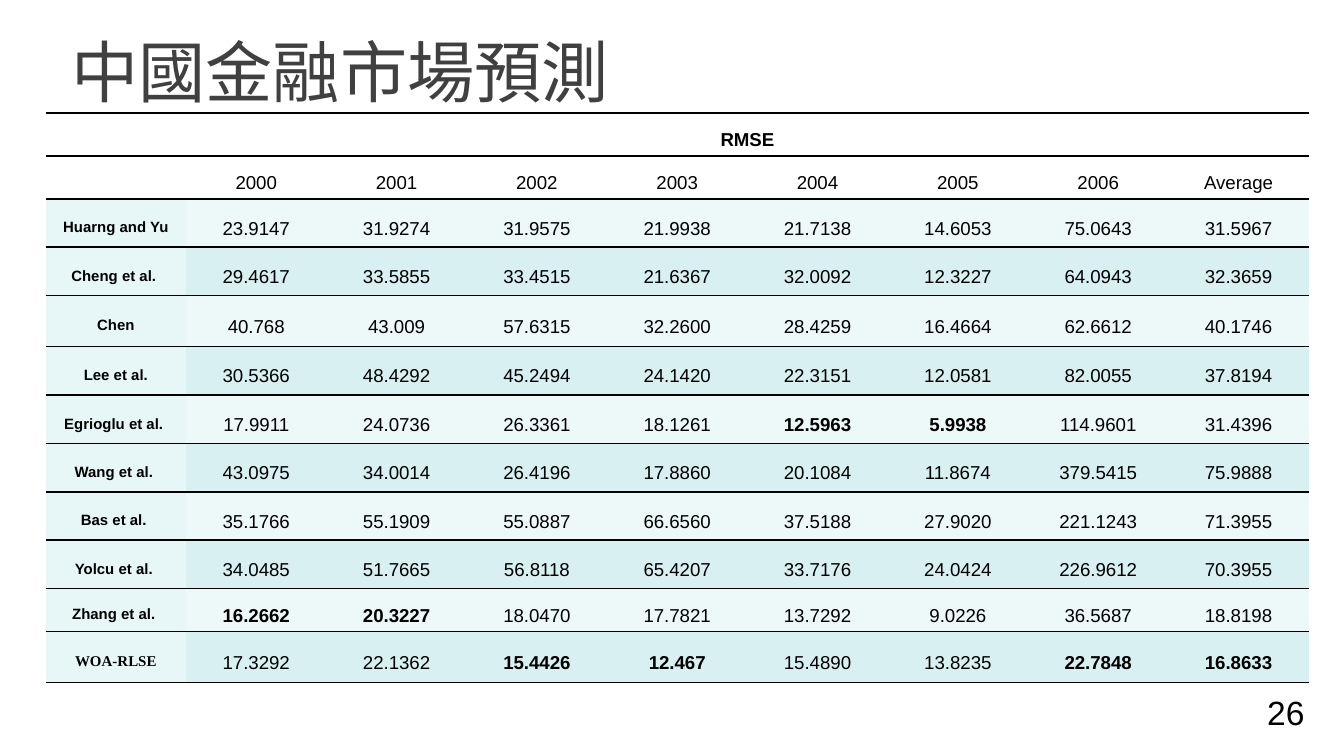
"""Build the slide comparing RMSE of market forecasting models."""
from lxml.etree import SubElement
from pptx import Presentation
from pptx.dml.color import RGBColor
from pptx.enum.text import MSO_ANCHOR, PP_ALIGN
from pptx.oxml import parse_xml
from pptx.oxml.ns import nsdecls, qn
from pptx.util import Inches, Pt

TITLE = "中國金融市場預測"
PAGE_NUMBER = "26"
MEASURE = "RMSE"
HEADINGS = ["2000", "2001", "2002", "2003", "2004", "2005", "2006", "Average"]
MODELS = [
    ("Huarng and Yu", "23.9147 31.9274 31.9575 21.9938 21.7138 14.6053 75.0643 31.5967"),
    ("Cheng et al. ", "29.4617 33.5855 33.4515 21.6367 32.0092 12.3227 64.0943 32.3659"),
    ("Chen", "40.768 43.009 57.6315 32.2600 28.4259 16.4664 62.6612 40.1746"),
    ("Lee et al.", "30.5366 48.4292 45.2494 24.1420 22.3151 12.0581 82.0055 37.8194"),
    ("Egrioglu et al. ", "17.9911 24.0736 26.3361 18.1261 12.5963 5.9938 114.9601 31.4396"),
    ("Wang et al. ", "43.0975 34.0014 26.4196 17.8860 20.1084 11.8674 379.5415 75.9888"),
    ("Bas et al. ", "35.1766 55.1909 55.0887 66.6560 37.5188 27.9020 221.1243 71.3955"),
    ("Yolcu et al. ", "34.0485 51.7665 56.8118 65.4207 33.7176 24.0424 226.9612 70.3955"),
    ("Zhang et al. ", "16.2662 20.3227 18.0470 17.7821 13.7292 9.0226 36.5687 18.8198"),
    ("WOA-RLSE", "17.3292 22.1362 15.4426 12.467 15.4890 13.8235 22.7848 16.8633"),
]
OWN_MODEL = "WOA-RLSE"
ROW_HEIGHTS = [0.32, 0.32, 0.36, 0.36, 0.38, 0.36, 0.36, 0.36, 0.36, 0.36, 0.32, 0.38]
COLORS = {"text": "000000", "title": "404040", "line": "000000",
          "name": "E7F7F8", "light": "EDF8F9", "dark": "D9F0F2"}
FONT, TITLE_FONT, OWN_FONT = "Arial", "Noto Sans CJK SC", "Times New Roman"
NO_STYLE = "{2D5ABB26-0587-4C30-8999-92F81FD0307C}"


def format_text(paragraph, size, color="text", font=FONT, bold=False):
    for span in paragraph.runs:
        span.font.size, span.font.name, span.font.bold = Pt(size), font, bold
        span.font.color.rgb = RGBColor.from_string(COLORS[color])


def place(box, left, top, width, height):
    box.left, box.top = Inches(left), Inches(top)
    box.width, box.height = Inches(width), Inches(height)


def rule_cell(cell):
    properties = cell._tc.get_or_add_tcPr()
    for position, side in enumerate(("lnT", "lnB")):
        properties.insert(position, parse_xml(
            f'<a:{side} {nsdecls("a")} w="12700"><a:solidFill>'
            f'<a:srgbClr val="{COLORS["line"]}"/></a:solidFill></a:{side}>'))


def fill_cell(cell, text, fill=None, size=10, font=FONT, bold=False):
    cell.margin_left = cell.margin_right = Inches(0.05)
    cell.margin_top = cell.margin_bottom = 0
    cell.vertical_anchor = MSO_ANCHOR.MIDDLE
    if fill:
        cell.fill.solid()
        cell.fill.fore_color.rgb = RGBColor.from_string(COLORS[fill])
    else:
        cell.fill.background()
    rule_cell(cell)
    para = cell.text_frame.paragraphs[0]
    para.text = text
    para.alignment = PP_ALIGN.CENTER
    if text:
        para.line_spacing = 1.55
        format_text(para, size, font=font, bold=bold)
    else:
        SubElement(para._p, qn("a:endParaRPr"), sz=str(size * 100))


def add_title(page):
    title = page.shapes.title
    place(title, 0.43, 0.21, 9.21, 0.63)
    frame = title.text_frame
    frame.text = TITLE
    frame.vertical_anchor = MSO_ANCHOR.MIDDLE
    para = frame.paragraphs[0]
    para.alignment = PP_ALIGN.LEFT
    format_text(para, 36, "title", TITLE_FONT)
    SubElement(para.runs[0].font._element, qn("a:ea"), typeface=TITLE_FONT)


def add_results(page):
    values = [numbers.split() for _, numbers in MODELS]
    best = [min(column, key=float) for column in zip(*values)]
    columns = len(HEADINGS) + 1
    frame = page.shapes.add_table(len(ROW_HEIGHTS), columns, Inches(0.34), Inches(0.84),
                                  Inches(9.4), Inches(sum(ROW_HEIGHTS)))
    table = frame.table
    table.first_row = table.horz_banding = False
    table._tbl.tblPr.find(qn("a:tableStyleId")).text = NO_STYLE
    for row, height in zip(table.rows, ROW_HEIGHTS):
        row.height = Inches(height)

    table.cell(0, 1).merge(table.cell(0, columns - 1))
    for column, heading in enumerate([""] + HEADINGS):
        fill_cell(table.cell(0, column), MEASURE if column == 1 else "", bold=True)
        fill_cell(table.cell(1, column), heading)
    for index, ((name, _), numbers) in enumerate(zip(MODELS, values)):
        row = index + 2
        fill_cell(table.cell(row, 0), name, "name", 8,
                  OWN_FONT if name == OWN_MODEL else FONT, True)
        band = "dark" if index % 2 else "light"
        for column, number in enumerate(numbers):
            fill_cell(table.cell(row, column + 1), number, band,
                      bold=number == best[column])


def add_page_number(page):
    box = page.shapes.add_textbox(Inches(9.33), Inches(5.1), Inches(0.51), Inches(0.4))
    box.text_frame.word_wrap = False
    box.text_frame.text = PAGE_NUMBER
    format_text(box.text_frame.paragraphs[0], 18)


def main():
    deck = Presentation()
    deck.slide_width = Inches(10)
    deck.slide_height = deck.slide_width * 9 // 16
    page = deck.slides.add_slide(deck.slide_layouts[5])
    add_title(page)
    add_results(page)
    add_page_number(page)
    deck.save("out.pptx")


if __name__ == "__main__":
    main()
